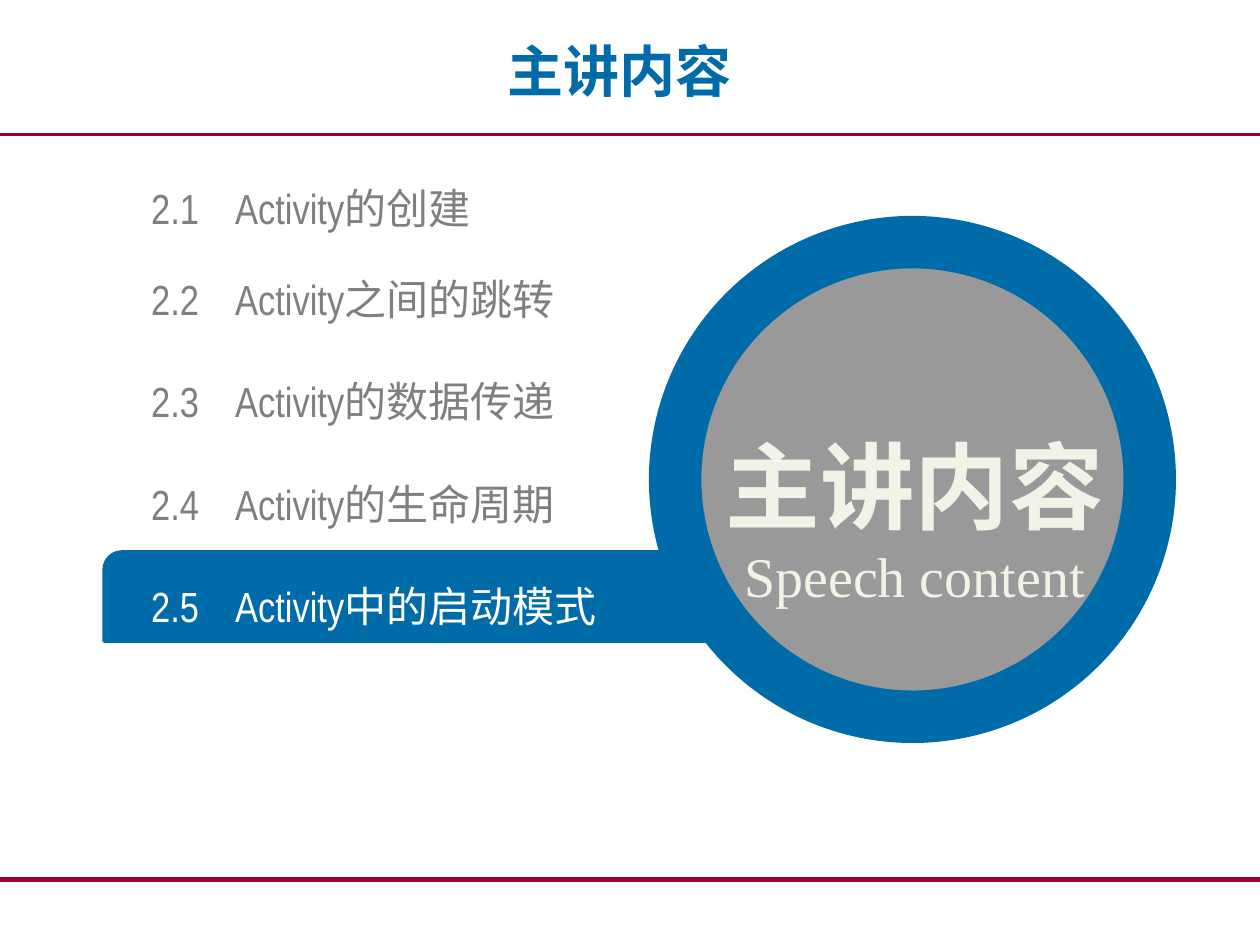
from lxml import etree
from pptx import Presentation
from pptx import util as u
from pptx.dml.color import RGBColor
from pptx.enum import shapes, text
from pptx.oxml import ns

# Content
TITLE = "主讲内容"
SUBTITLE = "Speech content"
TOPICS = [
    ("2.1", "Activity的创建"),
    ("2.2", "Activity之间的跳转"),
    ("2.3", "Activity的数据传递"),
    ("2.4", "Activity的生命周期"),
    ("2.5", "Activity中的启动模式"),
]
CURRENT = "2.5"
COLORS = {
    "blue": "006BA9", "rule": "990033", "gray": "7F7F7F",
    "disc": "999999", "cream": "F2F2E6", "white": "FFFFFF",
}
CJK = "Noto Sans CJK SC"

# Layout, in points
WIDTH, HEIGHT = 720, 540
RULES = [(502.5, 3), (77, 2)]
TOPIC_LEFT, TOPIC_WIDTH, TOPIC_HEIGHT, TOPIC_TAB = 86.4, 301.7, 28.8, 48
FIRST_TOP, SECOND_TOP, PITCH = 104.4, 156.2, 58.5


def rgb(name):
    return RGBColor.from_string(COLORS[name])


def points(*lengths):
    return [u.Pt(length) for length in lengths]


def style(para, size, color, latin, bold=False):
    font = para.font
    font.name, font.size, font.bold = latin, u.Pt(size), bold
    font.color.rgb = rgb(color)
    defaults = para._p.pPr.find(ns.qn("a:defRPr"))
    etree.SubElement(defaults, ns.qn("a:ea"), typeface=CJK)


def add_tab(para, position):
    tabs = etree.SubElement(para._p.get_or_add_pPr(), ns.qn("a:tabLst"))
    etree.SubElement(tabs, ns.qn("a:tab"), pos=str(u.Pt(position)), algn="l")


def add_text_box(page, left, top, width, height, margins=(0, 0)):
    frame = page.shapes.add_textbox(*points(left, top, width, height)).text_frame
    frame.word_wrap = True
    frame.vertical_anchor = text.MSO_ANCHOR.MIDDLE
    frame.margin_left = frame.margin_right = u.Pt(margins[0])
    frame.margin_top = frame.margin_bottom = u.Pt(margins[1])
    return frame


def add_filled_shape(page, kind, bounds, fill, line_width):
    shape = page.shapes.add_shape(kind, *points(*bounds))
    shape.shadow.inherit = False
    shape.fill.solid()
    shape.fill.fore_color.rgb = rgb(fill)
    shape.line.color.rgb = rgb("blue")
    shape.line.width = u.Pt(line_width)
    return shape


def add_rule(page, y, width):
    rule = page.shapes.add_connector(
        shapes.MSO_CONNECTOR.STRAIGHT, *points(0, y, WIDTH, y))
    rule.line.color.rgb = rgb("rule")
    rule.line.width = u.Pt(width)
    etree.SubElement(rule._element.spPr, ns.qn("a:effectLst"))


def add_topic(page, index, number, name):
    top = FIRST_TOP if index == 0 else SECOND_TOP + (index - 1) * PITCH
    frame = add_text_box(page, TOPIC_LEFT, top, TOPIC_WIDTH, TOPIC_HEIGHT)
    para = frame.paragraphs[0]
    para.text = f"{number}\t{name}"
    add_tab(para, TOPIC_TAB)
    style(para, 24, "white" if number == CURRENT else "gray", "Arial Narrow")


def main():
    deck = Presentation()
    deck.slide_width, deck.slide_height = points(WIDTH, HEIGHT)
    page = deck.slides.add_slide(deck.slide_layouts[5])

    # Rules and title
    for y, width in RULES:
        add_rule(page, y, width)
    title = page.shapes.title
    title.left, title.top, title.width, title.height = points(30.2, 4.3, 648, 71.3)
    title.text_frame.text = TITLE
    title.text_frame.vertical_anchor = text.MSO_ANCHOR.MIDDLE
    heading = title.text_frame.paragraphs[0]
    heading.alignment = text.PP_ALIGN.CENTER
    style(heading, 32, "blue", CJK, bold=True)

    # Highlight bar, topics and disc
    bar = add_filled_shape(
        page, shapes.MSO_SHAPE.ROUND_2_DIAG_RECTANGLE,
        (59.5, 315.4, 385.5, 51), "blue", 2)
    bar.adjustments[0] = 0.2
    for index, (number, name) in enumerate(TOPICS):
        add_topic(page, index, number, name)
    add_filled_shape(
        page, shapes.MSO_SHAPE.OVAL, (385.8, 138.4, 271.2, 271.2), "disc", 30)

    # Disc caption
    caption = add_text_box(page, 382.3, 208.1, 280.8, 143.3, (7.2, 3.6))
    caption.text = f"{TITLE}\n{SUBTITLE}"
    main_line, sub_line = caption.paragraphs
    main_line.line_spacing = 1.5
    for para in caption.paragraphs:
        para.alignment = text.PP_ALIGN.CENTER
    style(main_line, 54, "cream", CJK, bold=True)
    style(sub_line, 32, "cream", "Times New Roman")

    deck.save("out.pptx")


if __name__ == "__main__":
    main()
